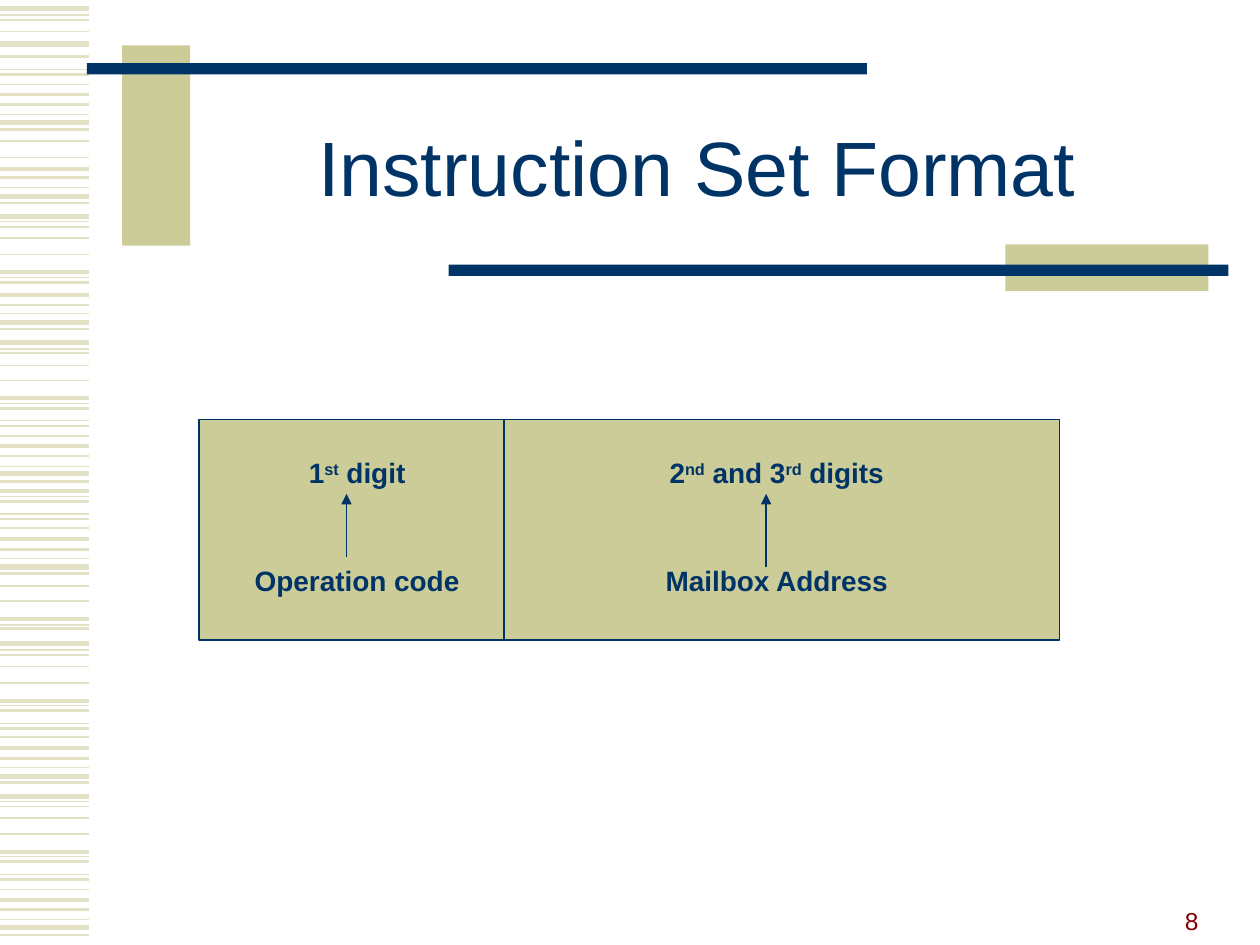
from dataclasses import dataclass

from lxml.etree import SubElement
from pptx import Presentation
from pptx.dml.color import RGBColor
from pptx.enum.shapes import MSO_CONNECTOR, MSO_SHAPE
from pptx.enum.text import MSO_ANCHOR, MSO_AUTO_SIZE, PP_ALIGN
from pptx.oxml.ns import qn
from pptx.util import Inches, Pt


@dataclass(frozen=True)
class Theme:
    """Colours, font and sizes of the deck."""
    navy: str = "003366"
    khaki: str = "CCCC99"
    stripe: str = "E3E2C7"
    maroon: str = "800000"
    font: str = "Arial"
    title_size: int = 44
    label_size: int = 16
    number_size: int = 14
    line_width: float = 1


THEME = Theme()

STRIPES = {
    0.75: (0.12, 0.55, 0.91, 1.49, 1.76, 2.2, 2.49, 2.77, 3.2, 3.34, 3.7, 3.94, 4.08,
           4.43, 4.96, 5.16, 5.6, 5.74, 6.09, 6.36, 6.8, 6.94, 7.3),
    1: (0.16, 0.25, 0.67, 1.12, 1.25, 1.8, 1.89, 2.02, 2.8, 2.9, 3.02, 3.46, 4.19,
        4.65, 4.77, 5.2, 5.29, 5.42, 5.85, 6.4, 6.49, 6.62, 7.06),
    1.5: (0.45, 0.59, 0.83, 1.03, 1.41, 1.61, 2.24, 2.42, 2.61, 3.24, 3.38, 3.62, 3.82,
          3.98, 4.12, 4.36, 4.55, 4.99, 5.64, 5.78, 6.02, 6.21, 6.84, 6.98, 7.22, 7.42),
    2.25: (0.75, 1.34, 2.16, 2.34, 3.16, 3.54, 3.9, 4.28, 4.91, 5.56, 5.94, 6.76, 7.14),
    3: (0.07, 0.35, 0.97, 1.56, 1.72, 2.56, 2.72, 3.76, 4.5, 5.11, 6.16, 6.32, 7.36),
}


def set_values(target, values):
    """Set each named attribute on the target."""
    for name, value in values.items():
        setattr(target, name, value)


def add_line(page, start, end, color, width, arrow=False):
    """Draw a straight line, with an arrowhead at its end if asked."""
    line = page.shapes.add_connector(
        MSO_CONNECTOR.STRAIGHT, *(Inches(value) for value in (*start, *end)))
    line.line.color.rgb = RGBColor.from_string(color)
    line.line.width = Pt(width)
    if arrow:
        SubElement(line.line._get_or_add_ln(), qn("a:tailEnd"), type="triangle")
    SubElement(line._element.spPr, qn("a:effectLst"))


def add_block(page, box, fill, outline=None):
    """Draw a filled rectangle in the box."""
    block = page.shapes.add_shape(MSO_SHAPE.RECTANGLE, *map(Inches, box))
    block.shadow.inherit = False
    block.fill.solid()
    block.fill.fore_color.rgb = RGBColor.from_string(fill)
    if outline:
        block.line.color.rgb = RGBColor.from_string(outline)
        block.line.width = Pt(THEME.line_width)
    else:
        block.line.fill.background()


def write_text(frame, parts, size, color, para_format, bold=False):
    """Write the parts as one paragraph, raising every second part."""
    para = frame.paragraphs[0]
    set_values(para, para_format)
    for index, part in enumerate(parts):
        span = para.add_run()
        span.text = part
        set_values(span.font, {"name": THEME.font, "size": Pt(size), "bold": bold})
        span.font.color.rgb = RGBColor.from_string(color)
        if index % 2:
            span._r.get_or_add_rPr().set("baseline", "30000")


def add_stripes(page, box):
    """Fill the left margin with horizontal stripes."""
    left, top, width, height = box
    for weight, offsets in STRIPES.items():
        for offset in offsets:
            level = top + offset
            add_line(page, (left, level), (left + width, level), THEME.stripe, weight)


def add_title(page, box):
    """Place the title with its bars and blocks."""
    left, top, width, height = box
    for bar_left, bar_top, bar_width, bar_height, fill in (
            (-0.53, -0.39, 0.54, 1.59, THEME.khaki),
            (-0.81, -0.25, 6.19, 0.09, THEME.navy),
            (6.48, 1.19, 1.61, 0.37, THEME.khaki),
            (2.06, 1.35, 6.19, 0.09, THEME.navy)):
        add_block(page, (left + bar_left, top + bar_top, bar_width, bar_height), fill)
    title = page.shapes.title
    set_values(title, dict(zip(("left", "top", "width", "height"), map(Inches, box))))
    set_values(title.text_frame, {"vertical_anchor": MSO_ANCHOR.MIDDLE, "word_wrap": True,
                                  "auto_size": MSO_AUTO_SIZE.NONE})
    write_text(title.text_frame, ["Instruction Set Format"], THEME.title_size, THEME.navy,
               {"alignment": PP_ALIGN.CENTER, "line_spacing": 0.85})


def add_label(page, box, parts):
    """Place a bold centred label in the box."""
    frame = page.shapes.add_textbox(*map(Inches, box)).text_frame
    set_values(frame, {"word_wrap": True, "auto_size": MSO_AUTO_SIZE.SHAPE_TO_FIT_TEXT})
    write_text(frame, parts, THEME.label_size, THEME.navy,
               {"alignment": PP_ALIGN.CENTER, "space_before": Pt(10)}, bold=True)


def add_instruction(page, box):
    """Draw the instruction word with its two fields."""
    left, top, width, height = box
    add_block(page, box, THEME.khaki, THEME.navy)
    divider = left + 2.42
    add_line(page, (divider, top), (divider, top + height), THEME.navy, THEME.line_width)
    label_height = 0.37
    digit_top, meaning_top, arrow_top = top + 0.24, top + 1.09, top + 0.59
    for center, digits, meaning, meaning_width, arrow_left, arrow_bottom in (
            (1.255, ["1", "st", " digit"], "Operation code", 2.33, 1.17, 1.09),
            (4.585, ["2", "nd", " and 3", "rd", " digits"], "Mailbox Address",
             3.33, 4.5, 1.17)):
        for parts, label_top, label_width in (
                ([meaning], meaning_top, meaning_width), (digits, digit_top, 2.33)):
            label_left = left + center - label_width / 2
            add_label(page, (label_left, label_top, label_width, label_height), parts)
        arrow = left + arrow_left
        add_line(page, (arrow, top + arrow_bottom), (arrow, arrow_top),
                 THEME.navy, THEME.line_width, arrow=True)


def add_page_number(page, box):
    """Place the page number at the lower right."""
    frame = page.shapes.add_textbox(*map(Inches, box)).text_frame
    set_values(frame, {"word_wrap": True, "vertical_anchor": MSO_ANCHOR.BOTTOM})
    write_text(frame, ["8"], THEME.number_size, THEME.maroon,
               {"alignment": PP_ALIGN.RIGHT})


def main():
    """Build the deck and save it."""
    deck = Presentation()
    set_values(deck, {"slide_width": Inches(10), "slide_height": Inches(7.5)})
    page = deck.slides.add_slide(deck.slide_layouts[5])
    add_stripes(page, (0, 0, 0.71, 7.5))
    add_title(page, (1.5, 0.75, 8.07, 1.25))
    add_instruction(page, (1.58, 3.33, 6.83, 1.75))
    add_page_number(page, (7.21, 6.97, 2.4, 0.5))
    deck.save("out.pptx")


if __name__ == "__main__":
    main()
